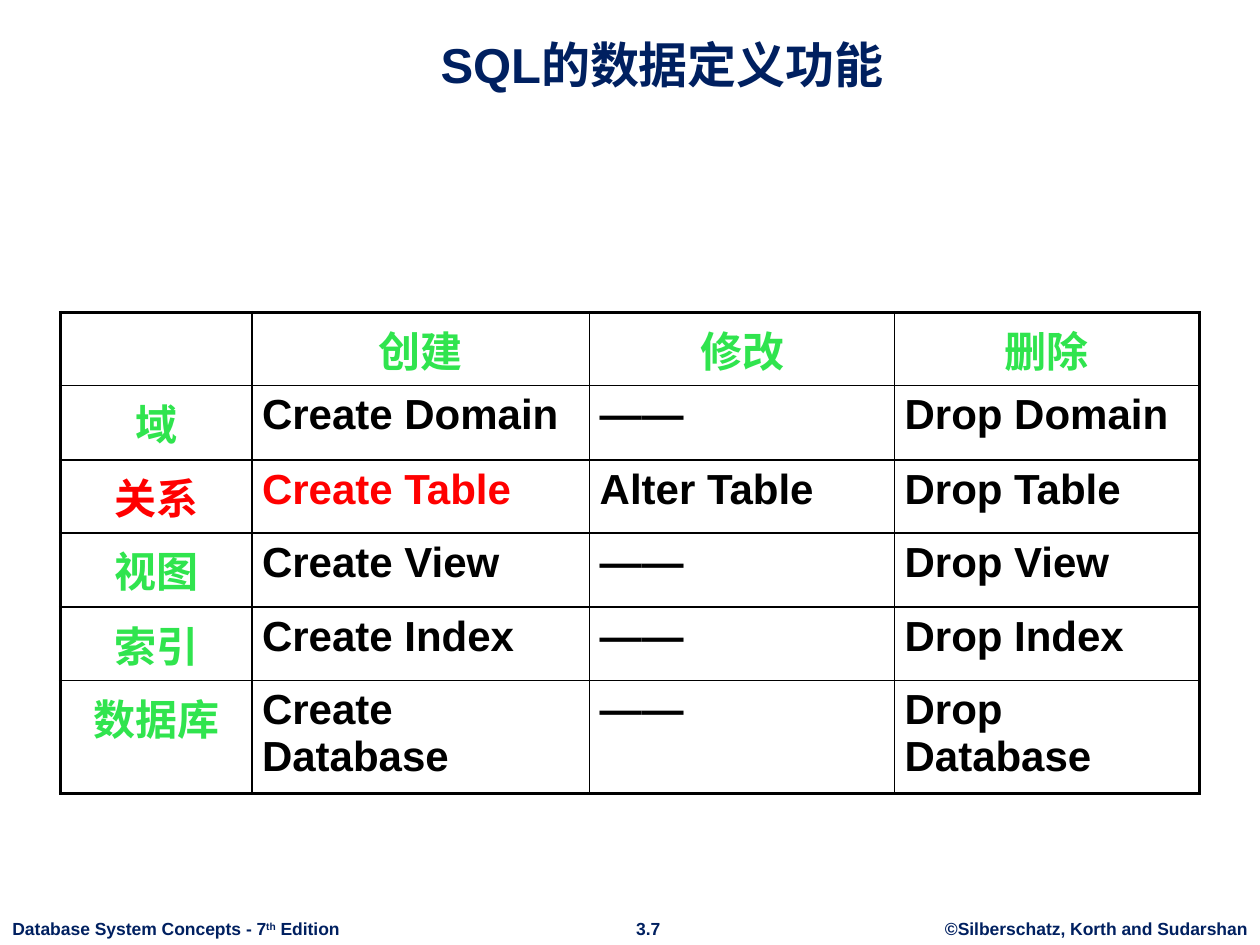
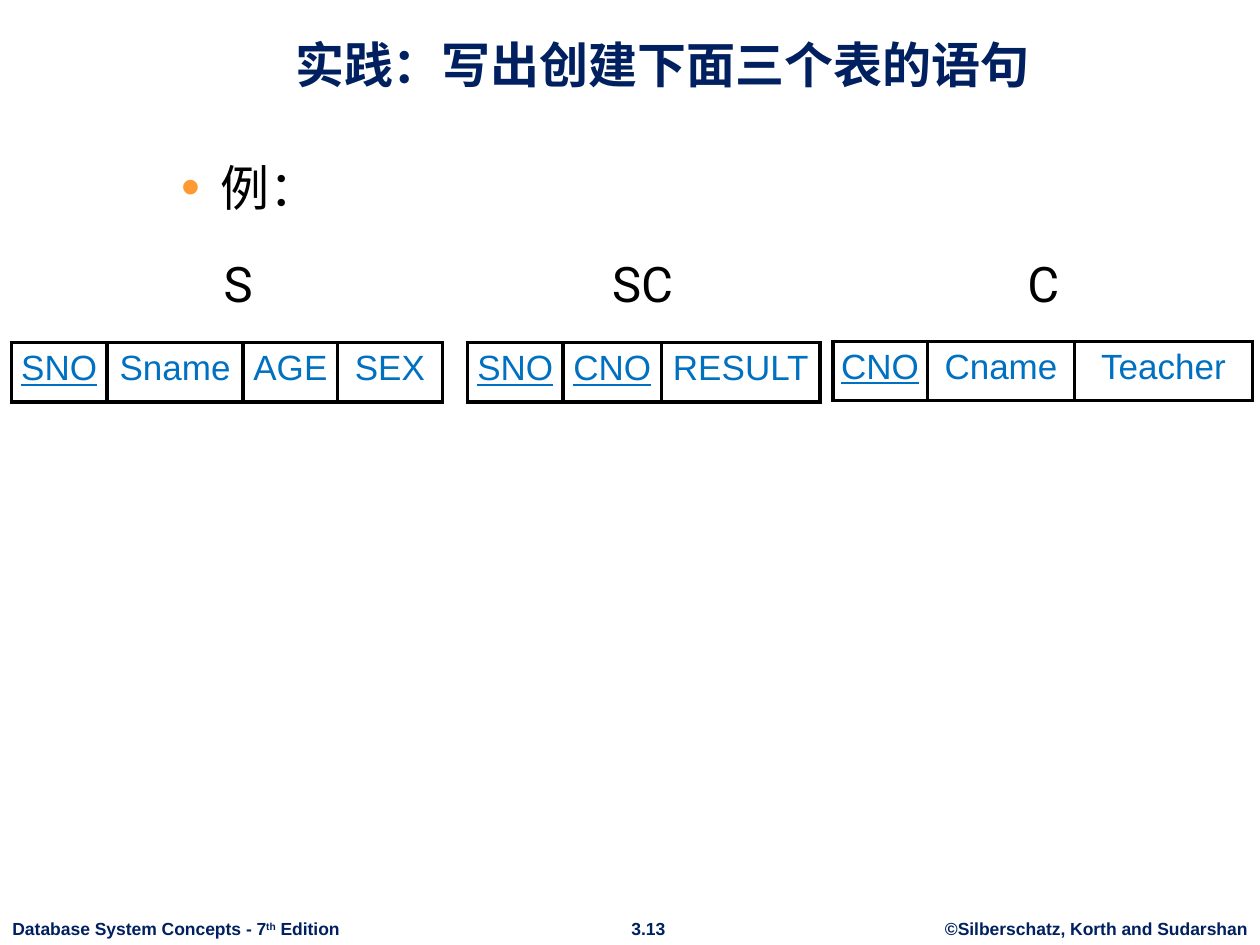
from pptx import Presentation
from pptx.dml.color import RGBColor
from pptx.enum.text import MSO_ANCHOR, PP_ALIGN
from pptx.oxml import parse_xml
from pptx.oxml.ns import nsdecls
from pptx.util import Pt

NAVY = RGBColor(0x00, 0x20, 0x60)
GREEN = RGBColor(0x30, 0xE4, 0x4E)
RED = RGBColor(0xFF, 0x00, 0x00)
BLUE = RGBColor(0x00, 0x70, 0xC0)
ORANGE = RGBColor(0xFF, 0x99, 0x33)
BLACK = RGBColor(0x00, 0x00, 0x00)
WHITE = RGBColor(0xFF, 0xFF, 0xFF)
SCALE = 9144
THIN, THICK = 1, 2.25


def emu(*sizes):
    return [size * SCALE for size in sizes]


class Deck:
    font = "Arial"

    def __init__(self):
        self.show = Presentation()
        self.show.slide_width, self.show.slide_height = emu(1000, 750)
        self.slide = None

    def page(self, title, number):
        self.slide = self.show.slides.add_slide(self.show.slide_layouts[6])
        fill = self.slide.background.fill
        fill.solid()
        fill.fore_color.rgb = WHITE
        self.foot(740, 260, "©Silberschatz, Korth and Sudarshan")
        self.foot(490, 49, number)
        mark = self.foot(0, 281, "Database System Concepts - 7", PP_ALIGN.LEFT)
        power = self.run(mark, "th", 10, NAVY, bold=True)
        power.font._element.set("baseline", "30000")
        self.run(mark, " Edition", 10, NAVY, bold=True)
        self.text((84, 12, 883, 67), title, 28, NAVY, bold=True,
                  anchor=MSO_ANCHOR.BOTTOM)

    def run(self, para, words, size, color, bold=False, line=False, font=None):
        run = para.add_run()
        run.text = words
        run.font.name = font or self.font
        run.font.size = Pt(size)
        run.font.bold = bold
        run.font.underline = line
        run.font.color.rgb = color
        return run

    def text(self, box, words, size, color, align=PP_ALIGN.CENTER,
             anchor=MSO_ANCHOR.TOP, wrap=True, **style):
        frame = self.slide.shapes.add_textbox(*emu(*box)).text_frame
        frame.word_wrap = wrap
        frame.vertical_anchor = anchor
        para = frame.paragraphs[0]
        para.alignment = align
        self.run(para, words, size, color, **style)
        return para

    def foot(self, left, width, words, align=PP_ALIGN.CENTER):
        return self.text((left, 724, width, 27), words, 10, NAVY, align,
                         wrap=False, bold=True)

    def bullet(self, box, words):
        para = self.text(box, words, 28, BLACK, PP_ALIGN.LEFT)
        props = para._p.get_or_add_pPr()
        left, hang = emu(81, -31)
        props.set("marL", str(left))
        props.set("indent", str(hang))
        for part in (f'<a:buClr {nsdecls("a")}><a:srgbClr val="{ORANGE}"/></a:buClr>',
                     f'<a:buSzPct {nsdecls("a")} val="110000"/>',
                     f'<a:buFont {nsdecls("a")} typeface="{self.font}"/>',
                     f'<a:buChar {nsdecls("a")} char="•"/>'):
            props.append(parse_xml(part))

    def grid(self, left, top, cols, rows):
        box = emu(left, top, sum(cols), sum(rows))
        table = self.slide.shapes.add_table(len(rows), len(cols), *box).table
        table.first_row = table.horz_banding = False
        for col, width in zip(table.columns, emu(*cols)):
            col.width = width
        for row, height in zip(table.rows, emu(*rows)):
            row.height = height
        return table

    def cell(self, cell, words, size, color, align, edges, pad, back=None, **style):
        props = cell._tc.get_or_add_tcPr()
        for side, width in zip("LRTB", edges):
            props.append(parse_xml(
                f'<a:ln{side} {nsdecls("a")} w="{Pt(width)}"><a:solidFill>'
                f'<a:srgbClr val="{BLACK}"/></a:solidFill></a:ln{side}>'))
        if back is None:
            cell.fill.background()
        else:
            cell.fill.solid()
            cell.fill.fore_color.rgb = back
        cell.margin_left = cell.margin_right = pad * SCALE
        cell.margin_top = cell.margin_bottom = 5 * SCALE
        if words:
            para = cell.text_frame.paragraphs[0]
            para.alignment = align
            self.run(para, words, size, color, **style)

    def matrix(self, left, top, cols, rows, data, hot):
        table = self.grid(left, top, cols, rows)
        last, end = len(rows) - 1, len(cols) - 1
        for y, line in enumerate(data):
            for x, words in enumerate(line):
                label = x == 0 or y == 0
                color = RED if words in hot else GREEN if label else BLACK
                align = PP_ALIGN.CENTER if label else PP_ALIGN.LEFT
                outer = (x == 0, x == end, y == 0, y == last)
                edges = [THICK if rim else THIN for rim in outer]
                self.cell(table.cell(y, x), words, 24, color, align, edges, 8,
                          bold=True)

    def schema(self, left, top, cols, names, keys):
        table = self.grid(left, top, cols, [47])
        for x, name in enumerate(names):
            self.cell(table.cell(0, x), name, 20, BLUE, PP_ALIGN.CENTER,
                      [THICK] * 4, 0, WHITE, line=x < keys)


def main():
    deck = Deck()

    deck.page("SQL的数据定义功能", "3.7")
    verbs = [
        ("", "创建", "修改", "删除"),
        ("域", "Create Domain", "——", "Drop Domain"),
        ("关系", "Create Table", "Alter Table", "Drop Table"),
        ("视图", "Create View", "——", "Drop View"),
        ("索引", "Create Index", "——", "Drop Index"),
        ("数据库", "Create Database", "——", "Drop Database"),
    ]
    deck.matrix(48, 248, [152, 268, 242, 242], [58, 59, 58, 59, 58, 90], verbs,
                ("关系", "Create Table"))

    deck.page("实践：写出创建下面三个表的语句", "3.13")
    deck.bullet((84, 120, 843, 536), "例：")
    for name, left in (("S", 118), ("SC", 439), ("C", 757)):
        deck.text((left, 196, 142, 57), name, 28, BLACK, font="Roboto")
    deck.schema(9, 272, [76, 108, 75, 83], ("SNO", "Sname", "AGE", "SEX"), 1)
    deck.schema(371, 272, [76, 78, 126], ("SNO", "CNO", "RESULT"), 2)
    deck.schema(661, 271, [75, 117, 141], ("CNO", "Cname", "Teacher"), 1)

    deck.show.save("out.pptx")


if __name__ == "__main__":
    main()
